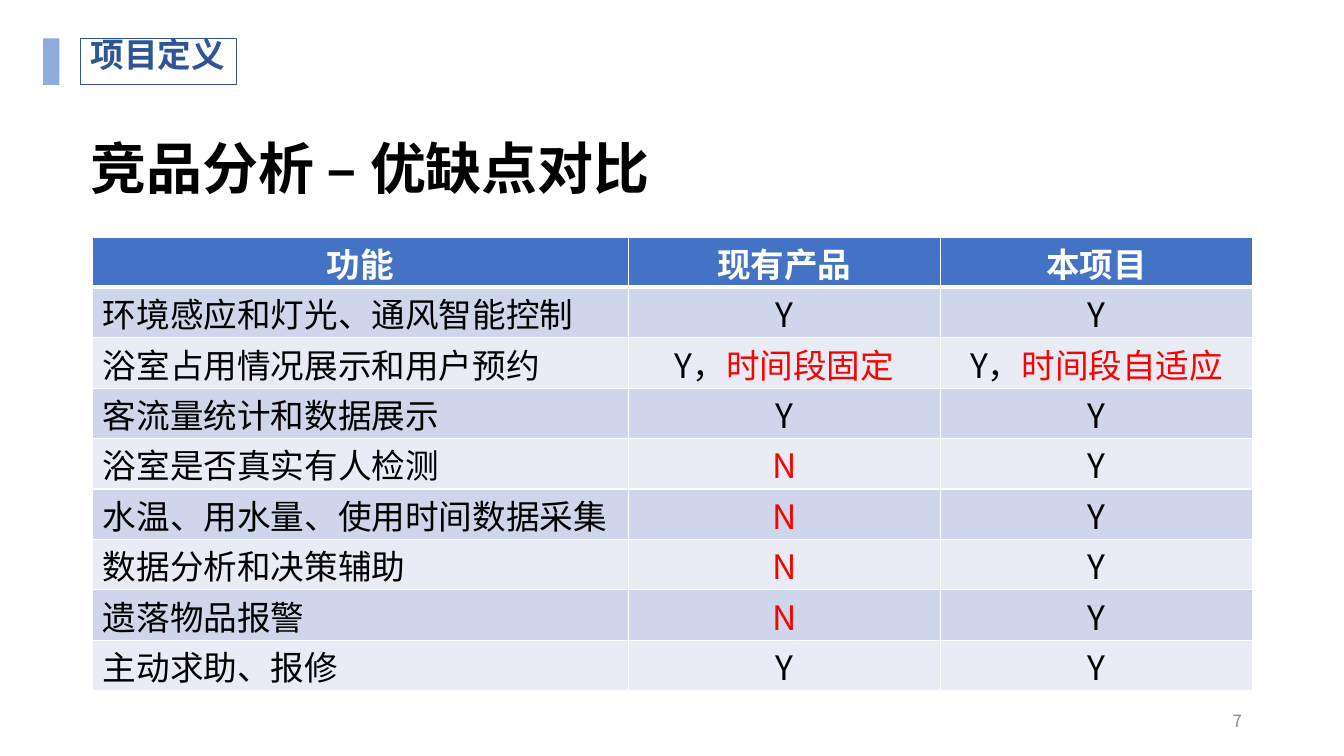
from lxml import etree
from pptx import Presentation
from pptx.dml.color import RGBColor
from pptx.enum.shapes import MSO_SHAPE
from pptx.enum.text import MSO_ANCHOR, PP_ALIGN
from pptx.oxml.ns import qn
from pptx.util import Cm, Pt

RECT = MSO_SHAPE.RECTANGLE
TOP, MIDDLE = MSO_ANCHOR.TOP, MSO_ANCHOR.MIDDLE
LEFT, CENTER = PP_ALIGN.LEFT, PP_ALIGN.CENTER
RIGHT, JUSTIFY = PP_ALIGN.RIGHT, PP_ALIGN.JUSTIFY

BLACK = RGBColor(0x00, 0x00, 0x00)
WHITE = RGBColor(0xFF, 0xFF, 0xFF)
RED = RGBColor(0xFF, 0x00, 0x00)
GRAY = RGBColor(0x8C, 0x8C, 0x8C)
NAVY = RGBColor(0x2F, 0x55, 0x97)
SKY = RGBColor(0x8F, 0xAA, 0xDC)
BLUE = RGBColor(0x44, 0x72, 0xC4)
BANDS = RGBColor(0xCF, 0xD5, 0xEA), RGBColor(0xE9, 0xEB, 0xF5)

SANS = "Noto Sans CJK SC"
HEADS = "功能", "现有产品", "本项目"
ROWS = [
    ("环境感应和灯光、通风智能控制", "Y", "Y"),
    ("浴室占用情况展示和用户预约", "Y，时间段固定", "Y，时间段自适应"),
    ("客流量统计和数据展示", "Y", "Y"),
    ("浴室是否真实有人检测", "N", "Y"),
    ("水温、用水量、使用时间数据采集", "N", "Y"),
    ("数据分析和决策辅助", "N", "Y"),
    ("遗落物品报警", "N", "Y"),
    ("主动求助、报修", "Y", "Y"),
]
WIDTHS = 13.49, 7.87, 7.87
HEIGHT = 1.27


def write(frame, *parts, size=24, color=BLACK, bold=False, font=SANS,
          align=LEFT, spacing=None):
    para = frame.paragraphs[0]
    para.alignment = align
    para.line_spacing = spacing
    for part in parts:
        text, tint = part if isinstance(part, tuple) else (part, color)
        run = para.add_run()
        run.text = text
        run.font.size = Pt(size)
        run.font.bold = bold
        run.font.name = font
        run.font.color.rgb = tint
        east = etree.SubElement(run.font._element, qn("a:ea"))
        east.set("typeface", SANS)


def add_text(slide, box, text, **style):
    frame = slide.shapes.add_textbox(*map(Cm, box)).text_frame
    frame.word_wrap = True
    frame.vertical_anchor = MIDDLE
    write(frame, text, **style)


def add_rect(slide, box, fill=None, line=None):
    shape = slide.shapes.add_shape(RECT, *map(Cm, box))
    shape.shadow.inherit = False
    if fill is None:
        shape.fill.background()
    else:
        shape.fill.solid()
        shape.fill.fore_color.rgb = fill
    if line is None:
        shape.line.fill.background()
    else:
        shape.line.color.rgb = line
        shape.line.width = Pt(0.75)
    return shape


def set_edges(cell, top, bottom):
    props = cell._tc.get_or_add_tcPr()
    edges = ("lnL", 1), ("lnR", 1), ("lnT", top), ("lnB", bottom)
    for index, (name, width) in enumerate(edges):
        edge = etree.Element(qn("a:" + name), w=str(Pt(width)))
        fill = etree.SubElement(edge, qn("a:solidFill"))
        etree.SubElement(fill, qn("a:srgbClr"), val=str(WHITE))
        props.insert(index, edge)


def split_mark(text):
    if text == "N":
        return [(text, RED)]
    mark, comma, note = text.partition("，")
    return [mark + comma, (note, RED)] if note else [text]


def fill_cell(cell, row, col, text):
    head = row == 0
    cell.fill.solid()
    cell.fill.fore_color.rgb = BLUE if head else BANDS[(row - 1) % 2]
    cell.vertical_anchor = MIDDLE
    cell.margin_top, cell.margin_bottom = Cm(0.03), 0
    set_edges(cell, 3 if row == 1 else 1, 3 if head else 1)
    write(cell.text_frame, *split_mark(text), bold=head,
          color=WHITE if head else BLACK,
          align=CENTER if head or col else JUSTIFY)


def add_grid(slide):
    rows = [HEADS, *ROWS]
    grid = slide.shapes.add_table(
        len(rows), len(HEADS), Cm(2.34), Cm(5.97),
        Cm(sum(WIDTHS)), Cm(HEIGHT * len(rows))).table
    for column, width in zip(grid.columns, WIDTHS):
        column.width = Cm(width)
    for row, texts in enumerate(rows):
        grid.rows[row].height = Cm(HEIGHT)
        for col, text in enumerate(texts):
            fill_cell(grid.cell(row, col), row, col, text)


def add_label(slide):
    frame = add_rect(slide, (2.03, 0.97, 3.94, 1.17), line=NAVY).text_frame
    frame.word_wrap = False
    frame.vertical_anchor = TOP
    frame.margin_top = frame.margin_bottom = 0
    write(frame, "项目定义", color=NAVY, bold=True, spacing=0.9)
    add_rect(slide, (1.09, 0.97, 0.41, 1.17), fill=SKY)


def main():
    deck = Presentation()
    deck.slide_width, deck.slide_height = Cm(33.87), Cm(19.05)
    slide = deck.slides.add_slide(deck.slide_layouts[6])
    add_text(slide, (2.03, 3.43, 29.82, 1.55), "竞品分析 – 优缺点对比",
             size=40, bold=True, font="Arial")
    add_text(slide, (23.93, 17.65, 7.62, 1.02), "7",
             size=12, color=GRAY, align=RIGHT)
    add_label(slide)
    add_grid(slide)
    deck.save("out.pptx")


if __name__ == "__main__":
    main()
